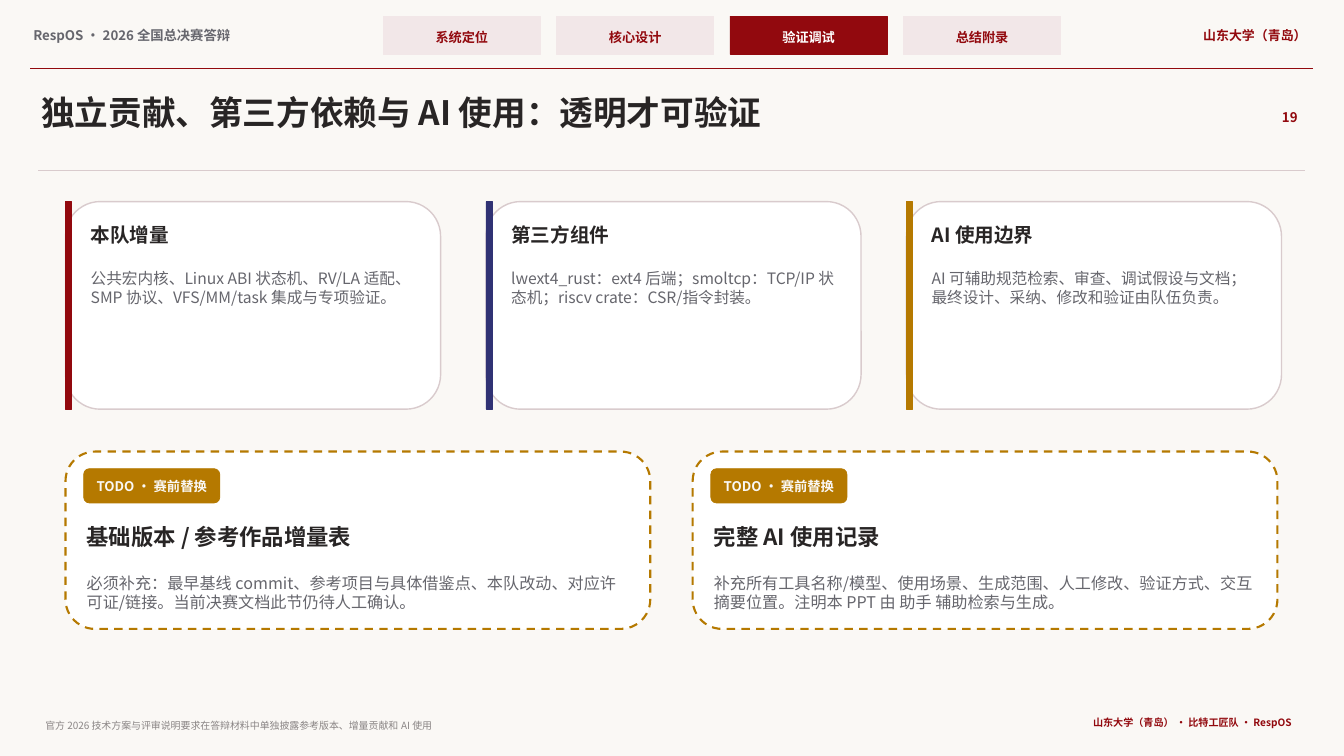
from dataclasses import dataclass

from lxml.etree import SubElement
from pptx import Presentation
from pptx.dml.color import RGBColor
from pptx.enum.dml import MSO_LINE
from pptx.enum.shapes import MSO_CONNECTOR, MSO_SHAPE
from pptx.enum.text import MSO_ANCHOR, MSO_AUTO_SIZE, PP_ALIGN
from pptx.oxml.ns import qn
from pptx.util import Pt

PX = 9144  # EMU per px, 100 px to the inch


@dataclass(frozen=True)
class Theme:
    font: str = "Noto Sans CJK SC"
    paper: str = "FAF8F5"
    white: str = "FFFFFF"
    ink: str = "282525"
    gray: str = "66666D"
    source_gray: str = "8A8585"
    red: str = "92090E"
    blush: str = "F2E7E8"
    border: str = "D9CBCD"
    navy: str = "303274"
    gold: str = "B57900"
    title: float = 24
    todo_heading: float = 16
    card_heading: float = 14
    todo_body: float = 11.5
    card_body: float = 11.2
    label: float = 9.5
    tab: float = 9.4
    school: float = 9.2
    team: float = 7.2
    source: float = 7.1


theme = Theme()
prs = Presentation()
prs.slide_width, prs.slide_height = 1333 * PX, 750 * PX
slide = prs.slides.add_slide(prs.slide_layouts[5])
slide.background.fill.solid()
slide.background.fill.fore_color.rgb = RGBColor.from_string(theme.paper)


def add_text(text, box, size, color, bold=True, align=PP_ALIGN.LEFT, holder=None):
    """Write text into a new text box, or into the placeholder given as holder."""
    left, top, width, height = (n * PX for n in box)
    if holder is None:
        holder = slide.shapes.add_textbox(left, top, width, height)
    holder.left, holder.top, holder.width, holder.height = left, top, width, height
    frame = holder.text_frame
    frame.word_wrap = True
    frame.auto_size = MSO_AUTO_SIZE.SHAPE_TO_FIT_TEXT
    frame.vertical_anchor = MSO_ANCHOR.TOP
    frame.margin_left = frame.margin_right = 3 * PX
    frame.margin_top = frame.margin_bottom = 3 * PX
    paragraph = frame.paragraphs[0]
    paragraph.alignment = align
    run = paragraph.add_run()
    run.text = text
    run.font.size, run.font.bold, run.font.name = Pt(size), bold, theme.font
    run.font.color.rgb = RGBColor.from_string(color)
    east_asian = SubElement(run.font._element, qn("a:ea"))
    east_asian.set("typeface", theme.font)


def add_panel(box, fill, line, weight=0.5, kind=MSO_SHAPE.RECTANGLE, dash=None):
    panel = slide.shapes.add_shape(kind, *(n * PX for n in box))
    panel.shadow.inherit = False
    panel.fill.solid()
    panel.fill.fore_color.rgb = RGBColor.from_string(fill)
    panel.line.color.rgb = RGBColor.from_string(line)
    panel.line.width = Pt(weight)
    if dash:
        panel.line.dash_style = dash


# Header with section tabs
add_text("RespOS · 2026 全国总决赛答辩", (30, 24, 335, 24), theme.label, theme.gray)
current_tab = "验证调试"
for i, tab in enumerate(["系统定位", "核心设计", current_tab, "总结附录"]):
    x = 380 + 172 * i
    fill, color = (theme.red, theme.white) if tab == current_tab else (theme.blush, theme.red)
    add_panel((x, 16, 156, 38), fill, fill)
    add_text(tab, (x + 6, 26, 144, 18), theme.tab, color, align=PP_ALIGN.CENTER)
add_text("山东大学（青岛）", (1135, 24, 164, 24), theme.school, theme.red, align=PP_ALIGN.RIGHT)

# Title, page number and the two rules
add_text("独立贡献、第三方依赖与 AI 使用：透明才可验证", (38, 88, 1185, 48),
         theme.title, theme.ink, holder=slide.shapes.title)
add_text("19", (1248, 105, 42, 24), theme.label, theme.red, align=PP_ALIGN.RIGHT)
for x1, x2, y, color, weight in [(30, 1302, 68, theme.red, 1.1),
                                 (38, 1294, 169, theme.border, 0.9)]:
    rule = slide.shapes.add_connector(MSO_CONNECTOR.STRAIGHT, x1 * PX, y * PX, x2 * PX, y * PX)
    rule.line.color.rgb = RGBColor.from_string(color)
    rule.line.width = Pt(weight)
    SubElement(rule._element.spPr, qn("a:effectLst"))

# Contribution cards
cards = [
    ("本队增量", theme.red,
     "公共宏内核、Linux ABI 状态机、RV/LA 适配、SMP 协议、VFS/MM/task 集成与专项验证。"),
    ("第三方组件", theme.navy,
     "lwext4_rust：ext4 后端；smoltcp：TCP/IP 状态机；riscv crate：CSR/指令封装。"),
    ("AI 使用边界", theme.gold,
     "AI 可辅助规范检索、审查、调试假设与文档；最终设计、采纳、修改和验证由队伍负责。"),
]
for i, (heading, accent, body) in enumerate(cards):
    x = 65 + 417 * i
    add_panel((x, 200, 372, 206), theme.white, theme.border, 1, MSO_SHAPE.ROUNDED_RECTANGLE)
    add_panel((x, 200, 6, 206), accent, accent)
    add_text(heading, (x + 22, 218, 334, 34), theme.card_heading, theme.ink)
    add_text(body, (x + 22, 264, 332, 128), theme.card_body, theme.gray, bold=False)

# Items still to be replaced
todos = [
    ("基础版本 / 参考作品增量表",
     "必须补充：最早基线 commit、参考项目与具体借鉴点、本队改动、对应许可证/链接。当前决赛文档此节仍待人工确认。"),
    ("完整 AI 使用记录",
     "补充所有工具名称/模型、使用场景、生成范围、人工修改、验证方式、交互摘要位置。注明本 PPT 由 助手 辅助检索与生成。"),
]
for i, (heading, body) in enumerate(todos):
    x = 65 + 622 * i
    add_panel((x, 448, 580, 176), theme.white, theme.gold, 1.5,
              MSO_SHAPE.ROUNDED_RECTANGLE, MSO_LINE.DASH)
    add_panel((x + 18, 465, 135, 34), theme.gold, theme.gold,
              kind=MSO_SHAPE.ROUNDED_RECTANGLE)
    add_text("TODO · 赛前替换", (x + 24, 471, 123, 21), theme.label, theme.paper,
             align=PP_ALIGN.CENTER)
    add_text(heading, (x + 18, 516, 544, 40), theme.todo_heading, theme.ink)
    add_text(body, (x + 18, 566, 544, 41), theme.todo_body, theme.gray, bold=False)

# Footer
add_text("官方 2026 技术方案与评审说明要求在答辩材料中单独披露参考版本、增量贡献和 AI 使用",
         (42, 711, 970, 17), theme.source, theme.source_gray, bold=False)
add_text("山东大学（青岛） · 比特工匠队 · RespOS", (972, 708, 312, 20),
         theme.team, theme.red, align=PP_ALIGN.RIGHT)

prs.save("out.pptx")
